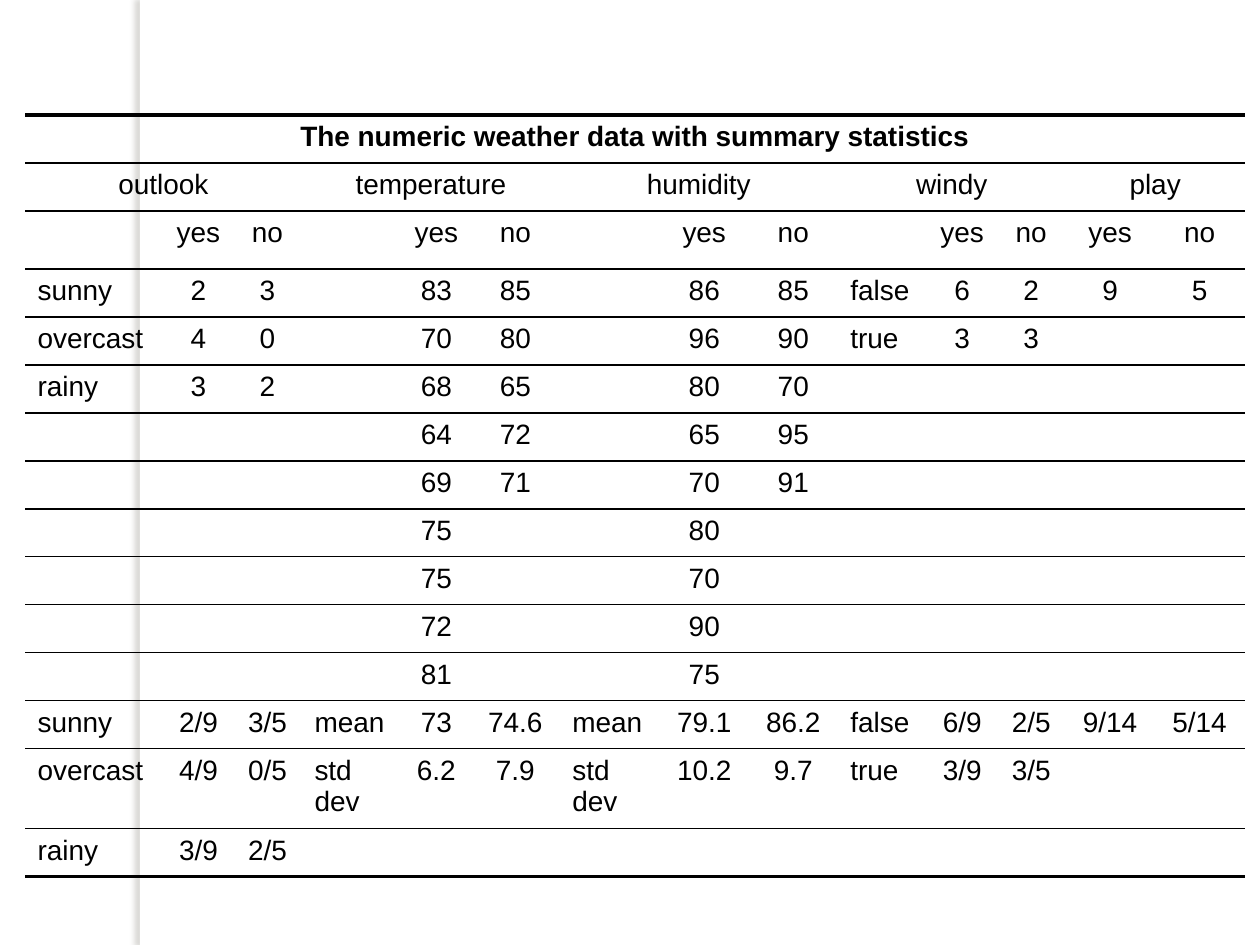
from lxml.etree import SubElement
from pptx import Presentation
from pptx.dml.color import RGBColor
from pptx.enum.shapes import MSO_SHAPE
from pptx.enum.text import PP_ALIGN as Align
from pptx.oxml.ns import qn
from pptx.util import Pt

EMU_PER_PX = 914400 / 126
SLIDE_W, SLIDE_H = 1260, 945
COLORS = {"ink": "000000", "paper": "FFFFFF", "shade": "736F63"}

TITLE = "The numeric weather data with summary statistics"
# Each attribute with the widths of its columns
ATTRIBUTES = {
    "outlook": [139, 69, 69],
    "temperature": [100, 69, 89],
    "humidity": [100, 89, 89],
    "windy": [90, 69, 69],
    "play": [89, 90],
}
CLASSES = ["yes", "no"]
LABEL_COLUMNS = (0, 3, 6, 9)
HEADER_ROWS = 3
COUNTS = [
    ["sunny", "2", "3", "", "83", "85", "", "86", "85", "false", "6", "2", "9", "5"],
    ["overcast", "4", "0", "", "70", "80", "", "96", "90", "true", "3", "3"],
    ["rainy", "3", "2", "", "68", "65", "", "80", "70"],
    ["", "", "", "", "64", "72", "", "65", "95"],
    ["", "", "", "", "69", "71", "", "70", "91"],
    ["", "", "", "", "75", "", "", "80"],
    ["", "", "", "", "75", "", "", "70"],
    ["", "", "", "", "72", "", "", "90"],
    ["", "", "", "", "81", "", "", "75"],
]
SUMMARY = [
    ["sunny", "2/9", "3/5", "mean", "73", "74.6", "mean", "79.1", "86.2",
     "false", "6/9", "2/5", "9/14", "5/14"],
    ["overcast", "4/9", "0/5", "std dev", "6.2", "7.9", "std dev", "10.2", "9.7",
     "true", "3/9", "3/5"],
    ["rainy", "3/9", "2/5"],
]
ROW_H, CLASS_ROW_H, TWO_LINE_ROW_H = 48, 58, 80


def emu(px):
    return round(px * EMU_PER_PX)


class SlideBuilder:
    font = "Arial"
    size = 16
    thin, thick = 1, 2.25

    def __init__(self, slide):
        self.slide = slide

    def shaded_strip(self, left, top, width, height):
        """Draw a white strip that casts a soft shadow to its left."""
        strip = self.slide.shapes.add_shape(
            MSO_SHAPE.RECTANGLE, emu(left), emu(top), emu(width), emu(height))
        strip.fill.solid()
        strip.fill.fore_color.rgb = RGBColor.from_string(COLORS["paper"])
        strip.line.fill.background()
        strip.shadow.inherit = False
        effects = strip._element.spPr.find(qn("a:effectLst"))
        shadow = SubElement(effects, qn("a:outerShdw"), blurRad=str(Pt(3)),
                            dist=str(Pt(3)), dir=str(180 * 60000), rotWithShape="0")
        color = SubElement(shadow, qn("a:srgbClr"), val=COLORS["shade"])
        SubElement(color, qn("a:alpha"), val="25000")

    def table(self, left, top, widths, heights):
        frame = self.slide.shapes.add_table(
            len(heights), len(widths), emu(left), emu(top),
            emu(sum(widths)), emu(sum(heights)))
        table = frame.table
        table.first_row = table.horz_banding = False
        for column, width in zip(table.columns, widths):
            column.width = emu(width)
        for row, height in zip(table.rows, heights):
            row.height = emu(height)
        last = len(heights) - 1
        for index, row in enumerate(table.rows):
            for cell in row.cells:
                self.rules(cell, self.thick if index == 0 else self.thin,
                           self.thick if index == last else self.thin)
                self.cell_text(cell, "")
        return table

    def rules(self, cell, top, bottom):
        """Rule a cell above and below only, and leave it unfilled."""
        properties = cell._tc.get_or_add_tcPr()
        for edge, width in (("lnL", 0), ("lnR", 0), ("lnT", top), ("lnB", bottom)):
            line = SubElement(properties, qn(f"a:{edge}"), w=str(Pt(width)))
            if width:
                fill = SubElement(line, qn("a:solidFill"))
                SubElement(fill, qn("a:srgbClr"), val=COLORS["ink"])
            else:
                SubElement(line, qn("a:noFill"))
        cell.fill.background()

    def cell_text(self, cell, text, align=Align.CENTER, bold=False):
        para = cell.text_frame.paragraphs[0]
        para.text = text
        para.alignment = align
        for span in para.runs:
            span.font.name = self.font
            span.font.size = Pt(self.size)
            span.font.bold = bold
            span.font.color.rgb = RGBColor.from_string(COLORS["ink"])
        if not text:  # keeps empty cells from stretching their row
            para._p.get_or_add_endParaRPr().set("sz", str(self.size * 100))

    def spanning_cell(self, table, row, column, count, text, bold=False):
        cell = table.cell(row, column)
        cell.merge(table.cell(row, column + count - 1))
        self.cell_text(cell, text, bold=bold)


def main():
    deck = Presentation()
    deck.slide_width, deck.slide_height = emu(SLIDE_W), emu(SLIDE_H)
    page = SlideBuilder(deck.slides.add_slide(deck.slide_layouts[6]))
    page.shaded_strip(140, 0, 10, SLIDE_H)

    body = COUNTS + SUMMARY
    widths = sum(ATTRIBUTES.values(), [])
    heights = [ROW_H, ROW_H, CLASS_ROW_H] + [
        TWO_LINE_ROW_H if "std dev" in values else ROW_H for values in body]
    table = page.table(25, 115, widths, heights)

    page.spanning_cell(table, 0, 0, len(widths), TITLE, bold=True)
    start = 0
    for name, columns in ATTRIBUTES.items():
        page.spanning_cell(table, 1, start, len(columns), name)
        start += len(columns)
        for offset, label in enumerate(CLASSES):
            page.cell_text(table.cell(2, start - len(CLASSES) + offset), label)

    for row, values in enumerate(body, HEADER_ROWS):
        for column, value in enumerate(values):
            align = Align.LEFT if column in LABEL_COLUMNS else Align.CENTER
            page.cell_text(table.cell(row, column), value, align)

    deck.save("out.pptx")


if __name__ == "__main__":
    main()
